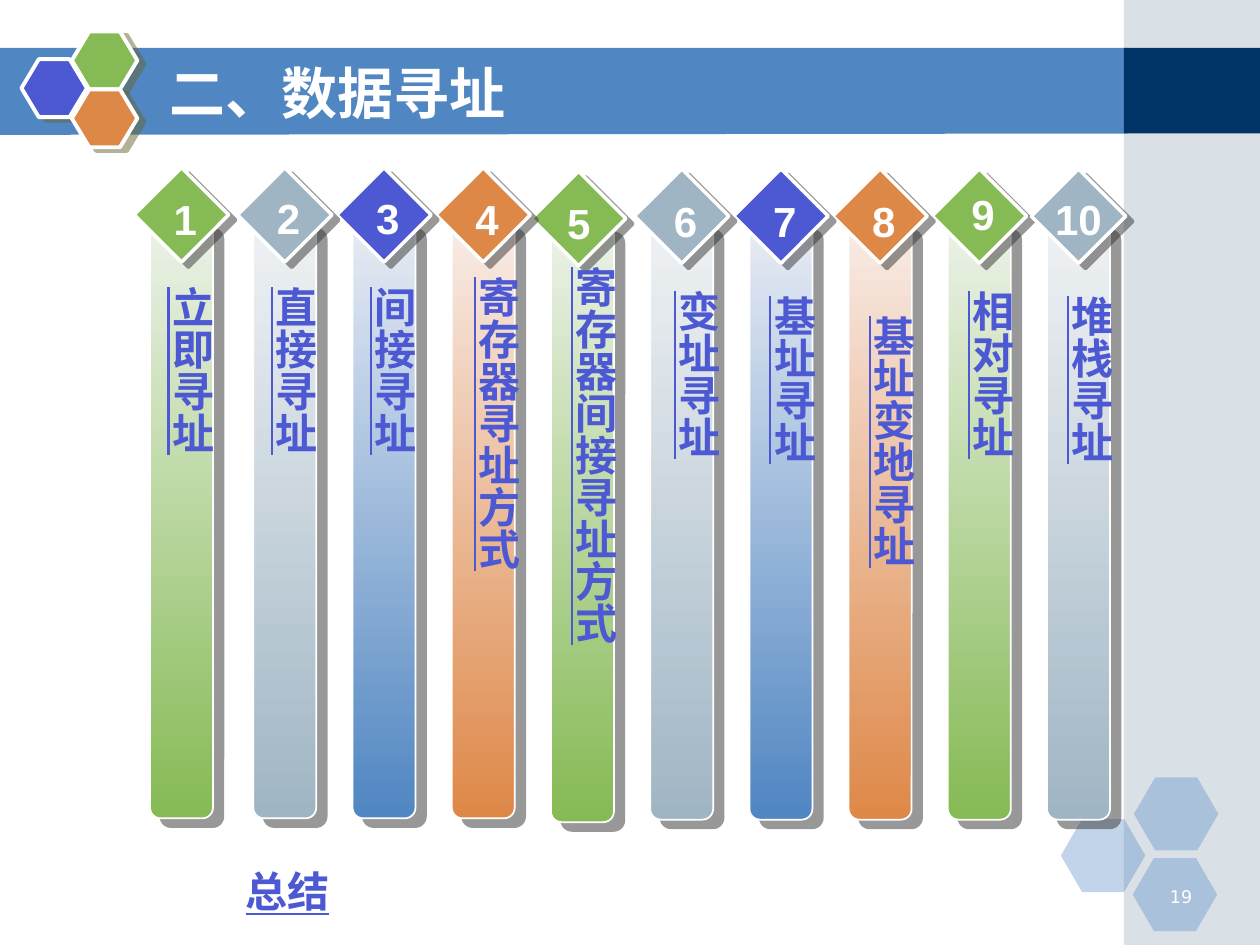
from lxml.etree import SubElement
from pptx import Presentation
from pptx.dml.color import RGBColor
from pptx.enum.shapes import MSO_SHAPE as Shape
from pptx.enum.text import MSO_ANCHOR as Anchor, PP_ALIGN as Align
from pptx.oxml.ns import qn
from pptx.util import Inches, Pt

COLORS = {
    "white": "FFFFFF", "blue": "5086C2", "navy": "003366", "mist": "A0B5C4",
    "indigo": "4C59D2", "green": "85BA54", "orange": "DE8848",
    "olive": "666633", "dark": "333333",
    "pale green": "ECF2E8", "pale mist": "EFF2F4",
    "pale blue": "E8ECF4", "pale orange": "F8ECE7",
}
CJK_FONT = "Noto Sans CJK SC"
TITLE = "二、数据寻址"
SUMMARY = "总结"
PAGE_NUMBER = "19"

# fields: label, label top, label height, label offset, number top
COLUMNS = [
    ("立即寻址", 2.18, 1.7, 0.03, 1.49),
    ("直接寻址", 2.18, 1.7, 0.03, 1.48),
    ("间接寻址", 2.18, 1.7, 0.03, 1.48),
    ("寄存器寻址方式", 2.1, 2.9, 0.07, 1.49),
    ("寄存器间接寻址方式", 2.02, 3.69, 0.05, 1.52),
    ("变址寻址", 2.21, 1.7, 0.08, 1.5),
    ("基址寻址", 2.25, 1.7, 0.05, 1.5),
    ("基址变地寻址", 2.41, 2.91, 0.05, 1.5),
    ("相对寻址", 2.21, 1.7, 0.05, 1.45),
    ("堆栈寻址", 2.25, 1.7, 0.05, 1.49),
]
THEMES = [("green", "pale green", "green"), ("mist", "pale mist", "mist"),
          ("indigo", "pale blue", "blue"), ("orange", "pale orange", "orange")]
DRAW_ORDER = [8, 7, 6, 5, 4, 3, 2, 1, 0, 9]
FIRST_CENTER, SECOND_CENTER, LAST_CENTER = 1.44, 2.26, 8.56
FIFTH = 4
BAR_LENGTH, BAR_WIDTH, DIAMOND = 4.75, 0.5, 0.75
BADGES = [(0.17, 0.47, "indigo"), (0.57, 0.25, "green"), (0.57, 0.71, "orange")]
CORNER_HEXAGONS = [(8.42, 6.5), (9, 6.17), (8.99, 6.81)]


def rgb(name):
    return RGBColor.from_string(COLORS[name])


def add_block(slide, kind, box, fill, alpha=None, line=None, adjust=None):
    shape = slide.shapes.add_shape(kind, *map(Inches, box))
    shape.shadow.inherit = False
    if isinstance(fill, tuple):
        shape.fill.gradient()
        shape.fill.gradient_angle = 0
        for stop, name in zip(shape.fill.gradient_stops, fill):
            stop.color.rgb = rgb(name)
    else:
        shape.fill.solid()
        shape.fill.fore_color.rgb = rgb(fill)
    if alpha:
        color = shape._element.spPr.find(qn("a:solidFill"))[0]
        SubElement(color, qn("a:alpha"), val=str(alpha * 1000))
    if line:
        shape.line.color.rgb = rgb("white")
        shape.line.width = Pt(line)
    else:
        shape.line.fill.background()
    if adjust:
        shape.adjustments[0] = adjust
    return shape


def add_shadow(shape, color, distance, angle):
    effects = shape._element.spPr.find(qn("a:effectLst"))
    shadow = SubElement(effects, qn("a:outerShdw"), blurRad="0", dist=str(Pt(distance)),
                        dir=str(angle * 60000), algn="ctr", rotWithShape="0")
    tint = SubElement(shadow, qn("a:srgbClr"), val=COLORS[color])
    SubElement(tint, qn("a:alpha"), val="50000")


def add_text(slide, box, text, size, color, font="Arial", align=Align.LEFT, bold=True,
             underline=None, wrap=True, vertical=False, anchor=Anchor.TOP):
    frame = slide.shapes.add_textbox(*map(Inches, box)).text_frame
    frame.word_wrap = wrap
    frame.vertical_anchor = anchor
    if vertical:
        frame._txBody.bodyPr.set("vert", "eaVert")
    paragraph = frame.paragraphs[0]
    paragraph.alignment = align
    run = paragraph.add_run()
    run.text = text
    run.font.name = font
    run.font.size = Pt(size)
    run.font.bold = bold
    run.font.underline = underline
    run.font.color.rgb = rgb(color)
    SubElement(run._r.rPr, qn("a:ea"), typeface=CJK_FONT)


def add_backdrop(slide):
    corners = [(0, 0.38), (8.95, 0.38), (8.95, 1.06), (0, 1.07)]
    points = [(Inches(x), Inches(y)) for x, y in corners]
    builder = slide.shapes.build_freeform(*points[0])
    builder.add_line_segments(points[1:], close=True)
    band = builder.convert_to_shape()
    band.shadow.inherit = False
    band.fill.solid()
    band.fill.fore_color.rgb = rgb("blue")
    band.line.fill.background()
    add_block(slide, Shape.RECTANGLE, (8.92, 0, 1.08, 7.5), "mist", alpha=40)
    add_block(slide, Shape.RECTANGLE, (8.92, 0.38, 1.08, 0.68), "navy")
    for left, top in CORNER_HEXAGONS:
        add_block(slide, Shape.HEXAGON, (left, top, 0.67, 0.58), "blue", alpha=35, adjust=0.29)
    for left, top, color in BADGES:
        badge = add_block(slide, Shape.HEXAGON, (left, top, 0.52, 0.46), color,
                          line=2.25, adjust=0.3)
        add_shadow(badge, "olive", 4.5, 27)


def add_column(slide, index):
    label, label_top, label_height, label_offset, number_top = COLUMNS[index]
    accent, light, deep = THEMES[index % 4]
    pitch = (LAST_CENTER - SECOND_CENTER) / (len(COLUMNS) - 2)
    center = SECOND_CENTER + (index - 1) * pitch if index else FIRST_CENTER
    drop = 0.03 if index == FIFTH else 0.01 if index > FIFTH else 0
    nudge = -0.03 if index == FIFTH else 0

    bar = add_block(slide, Shape.ROUNDED_RECTANGLE,
                    (center - BAR_LENGTH / 2, 3.87 + drop, BAR_LENGTH, BAR_WIDTH),
                    (light, deep), line=1, adjust=0.17)
    bar.rotation = 90
    add_shadow(bar, "dark", 7.8, 40)
    diamond = add_block(slide, Shape.DIAMOND,
                        (center + nudge - DIAMOND / 2, 1.33 + drop, DIAMOND, DIAMOND),
                        accent, line=2)
    diamond.rotation = 0 if index == FIFTH else 90
    add_shadow(diamond, "dark", 5, 37)

    add_text(slide, (center + label_offset - 0.3, label_top, 0.6, label_height), label,
             24, "indigo", underline=True, vertical=True,
             align=Align.LEFT if index == 7 else Align.CENTER)
    number = str(index + 1)
    width = 0.39 if len(number) == 1 else 0.64
    shift = 0.03 + 2 * nudge if len(number) == 1 else 0
    add_text(slide, (center + shift - width / 2, number_top, width, 0.5), number,
             24, "white", align=Align.CENTER, wrap=len(number) > 1)


def main():
    """Build the slide of ten data addressing modes."""
    presentation = Presentation()
    presentation.slide_width, presentation.slide_height = Inches(10), Inches(7.5)
    slide = presentation.slides.add_slide(presentation.slide_layouts[6])
    add_backdrop(slide)
    add_text(slide, (9.06, 6.98, 0.5, 0.25), PAGE_NUMBER, 10, "white",
             font="DejaVu Sans", align=Align.RIGHT, bold=False)
    add_text(slide, (1.25, 0.42, 7.33, 0.62), TITLE, 32, "white",
             font=CJK_FONT, anchor=Anchor.MIDDLE)
    for index in DRAW_ORDER:
        add_column(slide, index)
    add_text(slide, (1.85, 6.82, 1.49, 0.5), SUMMARY, 24, "indigo", underline=True)
    presentation.save("out.pptx")


if __name__ == "__main__":
    main()
